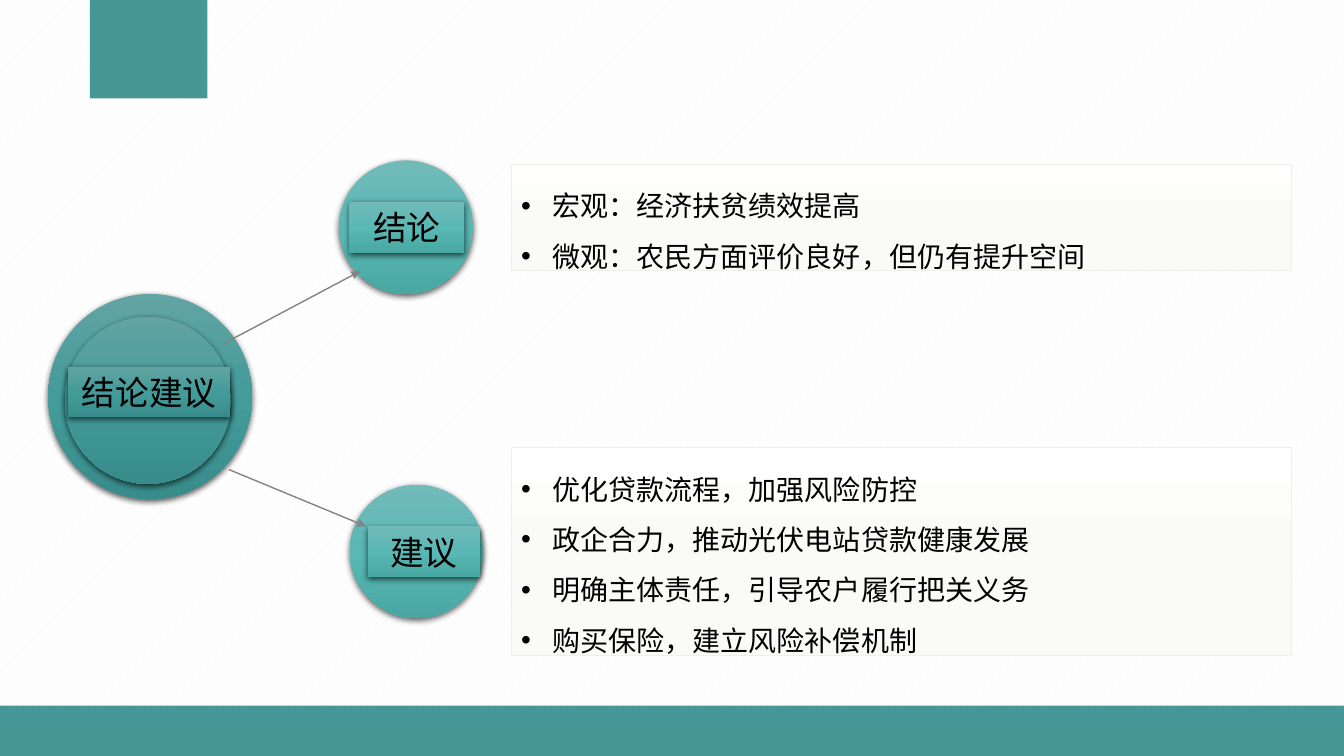
from copy import deepcopy
from dataclasses import dataclass

from lxml.etree import SubElement as Sub
from pptx import Presentation
from pptx.dml.color import RGBColor as Rgb
from pptx.enum.dml import MSO_PATTERN as Pattern
from pptx.enum.shapes import MSO_CONNECTOR as Link, MSO_SHAPE as Kind
from pptx.enum.text import MSO_ANCHOR as Anchor, PP_ALIGN as Align
from pptx.oxml.ns import qn
from pptx.shapes.autoshape import Shape
from pptx.slide import Slide
from pptx.util import Inches, Pt

COLS, ROWS = 160, 90
CELL = Inches(7.5) / ROWS
FONT = "Noto Sans CJK SC"

TEAL = Rgb(0x47, 0x97, 0x96)
BLACK = Rgb(0, 0, 0)
WHITE = Rgb(0xFF, 0xFF, 0xFF)
HATCH = Rgb(0xF2, 0xF2, 0xF2)
GREY = Rgb(0x84, 0x84, 0x84)
EDGE = Rgb(0xED, 0xF0, 0xE9)
PAPER = Rgb(0xFA, 0xFB, 0xF9)
DARK = (Rgb(0x62, 0xA4, 0xA3), Rgb(0x43, 0x9B, 0x9A), Rgb(0x38, 0x8D, 0x8C))
LIGHT = (Rgb(0x72, 0xBB, 0xB9), Rgb(0x59, 0xB7, 0xB4), Rgb(0x4A, 0xA8, 0xA4))
PALE = (WHITE, PAPER, PAPER)

Tones = tuple[Rgb, ...]


@dataclass(frozen=True)
class Area:
    col: float
    row: float
    wide: float
    high: float


@dataclass(frozen=True)
class Disc:
    area: Area
    tones: Tones


@dataclass(frozen=True)
class Label:
    text: str
    area: Area
    tones: Tones


@dataclass(frozen=True)
class Panel:
    area: Area
    lines: tuple[str, ...]


@dataclass(frozen=True)
class Arrow:
    tip: tuple[float, float]
    tail: tuple[float, float]


BANDS = (Area(10.7, 0, 14, 11.7), Area(0, 84, COLS, 6))
OUTER = (
    Disc(Area(5.75, 35, 24.25, 24.4), DARK),
    Disc(Area(40.4, 19.1, 15.9, 15.9), LIGHT),
    Disc(Area(41.65, 57.7, 15.9, 15.9), LIGHT),
)
INNER = Disc(Area(7.7, 37.7, 19.8, 19.9), DARK)
ARROWS = (
    Arrow((42.85, 32.3), (26.65, 40.9)),
    Arrow((43.55, 62.65), (27.25, 55.9)),
)
LABELS = (
    Label("结论", Area(41.6, 24.05, 13.7, 6.05), LIGHT),
    Label("建议", Area(43.8, 62.65, 13.35, 6.05), LIGHT),
    Label("结论建议", Area(8.1, 43.65, 19.3, 6.05), DARK),
)
PANELS = (
    Panel(Area(60.85, 19.55, 92.9, 12.6), (
        "宏观：经济扶贫绩效提高",
        "微观：农民方面评价良好，但仍有提升空间",
    )),
    Panel(Area(60.85, 53.3, 92.9, 24.75), (
        "优化贷款流程，加强风险防控",
        "政企合力，推动光伏电站贷款健康发展",
        "明确主体责任，引导农户履行把关义务",
        "购买保险，建立风险补偿机制",
    )),
)


def cells(count: float) -> int:
    return round(count * CELL)


def place(slide: Slide, kind: Kind, area: Area) -> Shape:
    shape = slide.shapes.add_shape(
        kind, cells(area.col), cells(area.row), cells(area.wide), cells(area.high))
    shape.shadow.inherit = False
    shape.line.fill.background()
    return shape


def shade(shape: Shape, tones: Tones) -> None:
    fill = shape.fill
    fill.gradient()
    fill.gradient_angle = 270
    stops = shape._element.spPr.find(qn("a:gradFill")).find(qn("a:gsLst"))
    stops.append(deepcopy(stops[0]))
    for step, (stop, tone) in enumerate(zip(fill.gradient_stops, tones)):
        stop.position = step / 2
        stop.color.rgb = tone


def lift(shape: Shape) -> None:
    effects = shape._element.spPr.find(qn("a:effectLst"))
    drop = Sub(effects, qn("a:outerShdw"), blurRad=str(Pt(4.5)),
               dist=str(Pt(1.5)), dir="5400000", rotWithShape="0")
    tint = Sub(drop, qn("a:srgbClr"), val=str(BLACK))
    Sub(tint, qn("a:alpha"), val="63000")


def write(shape: Shape, *lines: str, size: float, align: Align = Align.LEFT,
          anchor: Anchor = Anchor.TOP, top: float = 0.6,
          pitch: float | None = None, dot: str = "") -> None:
    frame = shape.text_frame
    frame.word_wrap = True
    frame.vertical_anchor = anchor
    frame.margin_top = cells(top)
    for count, text in enumerate(lines):
        para = frame.add_paragraph() if count else frame.paragraphs[0]
        if dot:
            props = para._p.get_or_add_pPr()
            props.set("marL", str(cells(3.75)))
            props.set("indent", str(cells(-3.75)))
            Sub(props, qn("a:buFont"), typeface="Arial")
            Sub(props, qn("a:buChar"), char=dot)
        para.alignment = align
        if pitch:
            para.line_spacing = Pt(pitch)
        run = para.add_run()
        run.text = text
        run.font.size = Pt(size)
        run.font.color.rgb = BLACK
        run.font.name = FONT
        Sub(run._r.get_or_add_rPr(), qn("a:ea"), typeface=FONT)


def band(slide: Slide, area: Area) -> None:
    shape = place(slide, Kind.RECTANGLE, area)
    shape.fill.solid()
    shape.fill.fore_color.rgb = TEAL


def disc(slide: Slide, item: Disc) -> None:
    shape = place(slide, Kind.OVAL, item.area)
    shade(shape, item.tones)
    lift(shape)


def label(slide: Slide, item: Label) -> None:
    shape = place(slide, Kind.RECTANGLE, item.area)
    shade(shape, item.tones)
    lift(shape)
    write(shape, item.text, size=24, align=Align.CENTER, anchor=Anchor.MIDDLE)


def panel(slide: Slide, item: Panel) -> None:
    shape = place(slide, Kind.RECTANGLE, item.area)
    shade(shape, PALE)
    shape.line.color.rgb = EDGE
    shape.line.width = Pt(0.5)
    write(shape, *item.lines, size=20, top=0.9, pitch=36, dot="•")


def arrow(slide: Slide, item: Arrow) -> None:
    link = slide.shapes.add_connector(
        Link.STRAIGHT, *map(cells, item.tip + item.tail))
    link.line.color.rgb = GREY
    link.line.width = Pt(1)
    Sub(link.line._get_or_add_ln(), qn("a:headEnd"), type="triangle")
    Sub(link._element.spPr, qn("a:effectLst"))


def main() -> None:
    deck = Presentation()
    deck.slide_width, deck.slide_height = cells(COLS), cells(ROWS)
    slide = deck.slides.add_slide(deck.slide_layouts[6])
    back = slide.background.fill
    back.patterned()
    back.pattern = Pattern.WIDE_UPWARD_DIAGONAL
    back.fore_color.rgb = HATCH
    back.back_color.rgb = WHITE
    for draw, items in ((band, BANDS), (disc, OUTER), (arrow, ARROWS),
                        (disc, (INNER,)), (label, LABELS), (panel, PANELS)):
        for item in items:
            draw(slide, item)
    deck.save("out.pptx")


if __name__ == "__main__":
    main()
